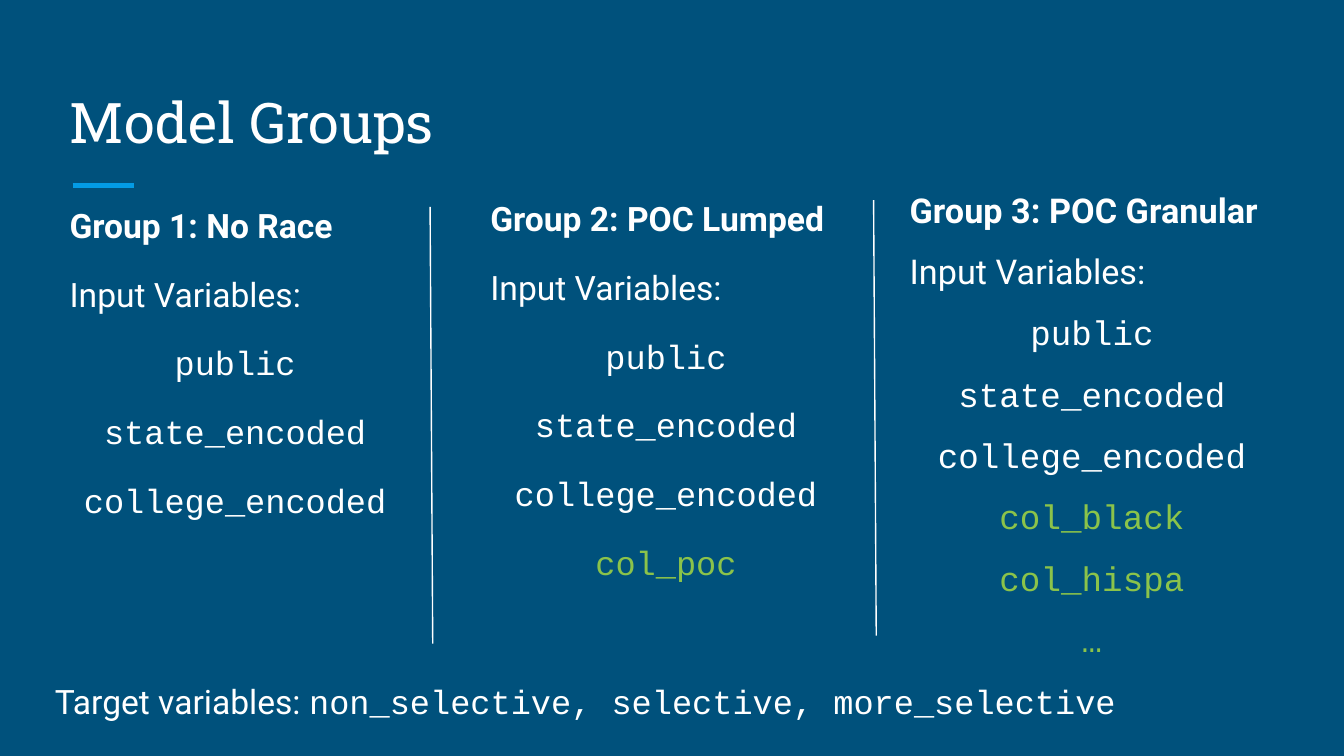
from lxml import etree
from pptx import Presentation
from pptx.dml.color import RGBColor
from pptx.enum.shapes import MSO_CONNECTOR
from pptx.enum.text import MSO_ANCHOR, MSO_AUTO_SIZE, PP_ALIGN
from pptx.oxml.ns import qn
from pptx.util import Inches, Pt

LEFT, CENTER = PP_ALIGN.LEFT, PP_ALIGN.CENTER
TOP, BOTTOM = MSO_ANCHOR.TOP, MSO_ANCHOR.BOTTOM
STRAIGHT = MSO_CONNECTOR.STRAIGHT
NO_FIT = MSO_AUTO_SIZE.NONE

COLORS = {"back": "00517C", "text": "FFFFFF", "accent": "039BE5", "race": "8BC34A"}
SANS, SLAB, MONO = "Roboto", "Roboto Slab", "Courier New"
WIDTH = 10
HEIGHT = WIDTH * 9 / 16
INSET, GAP = 0.1, 12

TITLE = "Model Groups"
TITLE_AREA = (0.42, 0.5, 9.15, 0.75)
TARGET_AREA = (0.31, 4.97, 9.26, 0.46)
TARGET_LABEL = "Target variables: "
TARGETS = ["non_selective", "selective", "more_selective"]
SHARED_INPUTS = ["public", "state_encoded", "college_encoded"]
GROUPS = [
    {"name": "Group 1: No Race", "race": [],
     "area": (0.42, 1.38, 2.66, 3.37), "size": 18, "spacing": 1.15},
    {"name": "Group 2: POC Lumped", "race": ["col_poc"],
     "area": (3.55, 1.33, 2.81, 3.37), "size": 18, "spacing": 1.15},
    {"name": "Group 3: POC Granular", "race": ["col_black", "col_hispa", "…"],
     "area": (6.67, 1.33, 2.91, 3.37), "size": 18.3, "spacing": 0.95},
]
LINES = [
    ((0.54, 1.38), (1, 1.38), "accent", 3),
    ((3.2, 1.54), (3.22, 4.79), "text", 0.75),
    ((6.5, 1.49), (6.52, 4.73), "text", 0.75),
]


def color(name):
    return RGBColor.from_string(COLORS[name])


def place(box, area, anchor=TOP):
    box.left, box.top, box.width, box.height = map(Inches, area)
    frame = box.text_frame
    settings = {"word_wrap": True, "auto_size": NO_FIT, "vertical_anchor": anchor}
    for side in ("left", "top", "right", "bottom"):
        settings[f"margin_{side}"] = Inches(INSET)
    for name, value in settings.items():
        setattr(frame, name, value)
    return frame


def add_text_box(page, area):
    return place(page.shapes.add_textbox(*map(Inches, area)), area)


def add_span(para, text, size, font=SANS, fill="text", bold=False):
    span = para.add_run()
    span.text = text
    for name, value in {"name": font, "size": Pt(size), "bold": bold}.items():
        setattr(span.font, name, value)
    span.font.color.rgb = color(fill)


def add_group(page, group):
    rows = [(group["name"], LEFT, {"bold": True}), ("Input Variables:", LEFT, {})]
    rows += [(name, CENTER, {"font": MONO}) for name in SHARED_INPUTS]
    rows += [(name, CENTER, {"font": MONO, "fill": "race"}) for name in group["race"]]
    frame = add_text_box(page, group["area"])
    for index, (text, align, style) in enumerate(rows):
        para = frame.add_paragraph() if index else frame.paragraphs[0]
        para.alignment = align
        para.line_spacing = group["spacing"]
        para.space_before = Pt(GAP if index else 0)
        add_span(para, text, group["size"], **style)


def add_line(page, start, end, fill, weight):
    line = page.shapes.add_connector(STRAIGHT, *map(Inches, start + end))
    line.line.color.rgb = color(fill)
    line.line.width = Pt(weight)
    etree.SubElement(line._element.spPr, qn("a:effectLst"))


def main():
    deck = Presentation()
    deck.slide_width, deck.slide_height = Inches(WIDTH), Inches(HEIGHT)
    page = deck.slides.add_slide(deck.slide_layouts.get_by_name("Title Only"))
    page.background.fill.solid()
    page.background.fill.fore_color.rgb = color("back")

    title = place(page.shapes.title, TITLE_AREA, BOTTOM).paragraphs[0]
    title.alignment = LEFT
    add_span(title, TITLE, 30, SLAB)

    for group in GROUPS:
        add_group(page, group)

    target = add_text_box(page, TARGET_AREA).paragraphs[0]
    add_span(target, TARGET_LABEL, 18)
    add_span(target, ", ".join(TARGETS), 18, MONO)

    for line in LINES:
        add_line(page, *line)

    deck.save("out.pptx")


if __name__ == "__main__":
    main()
